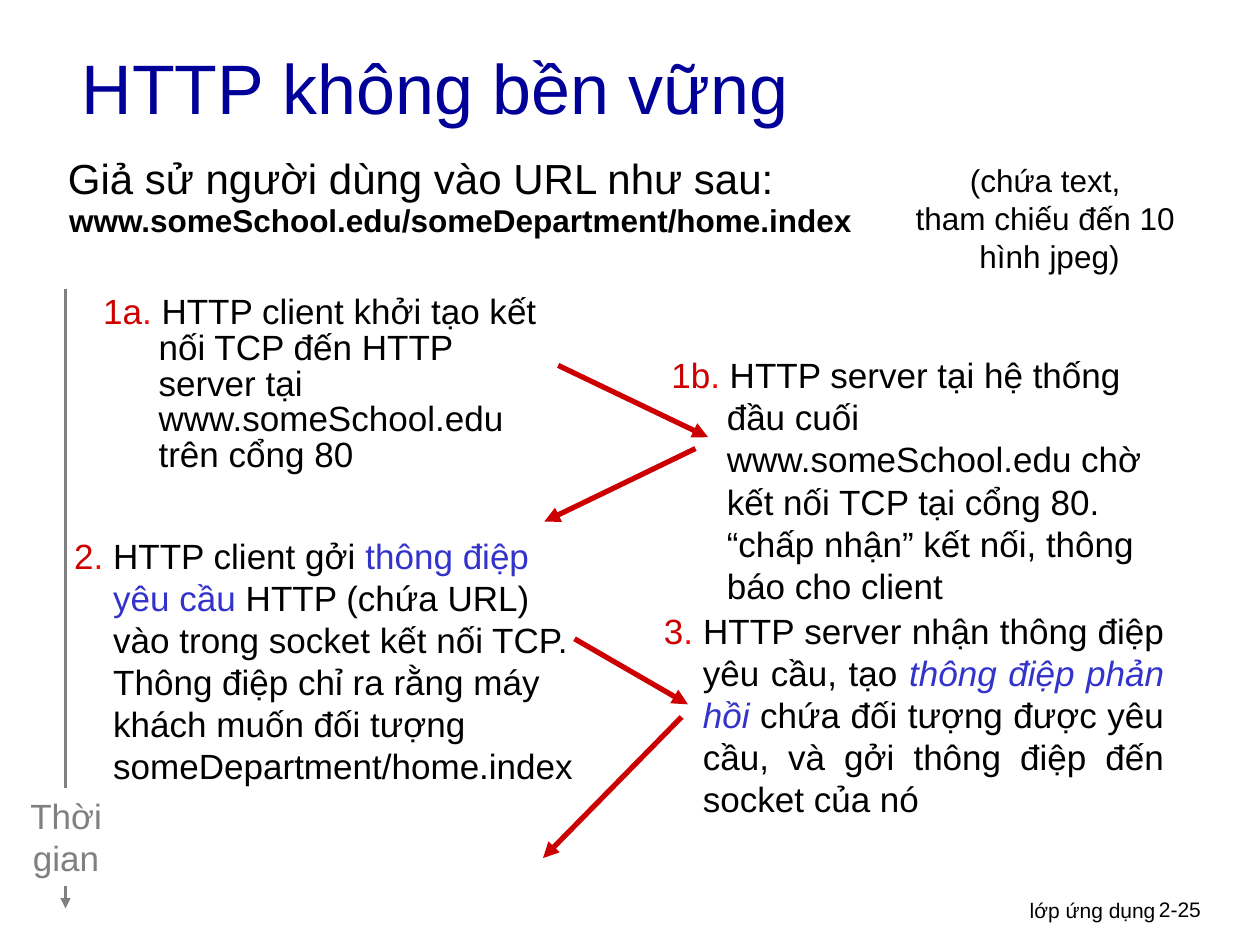
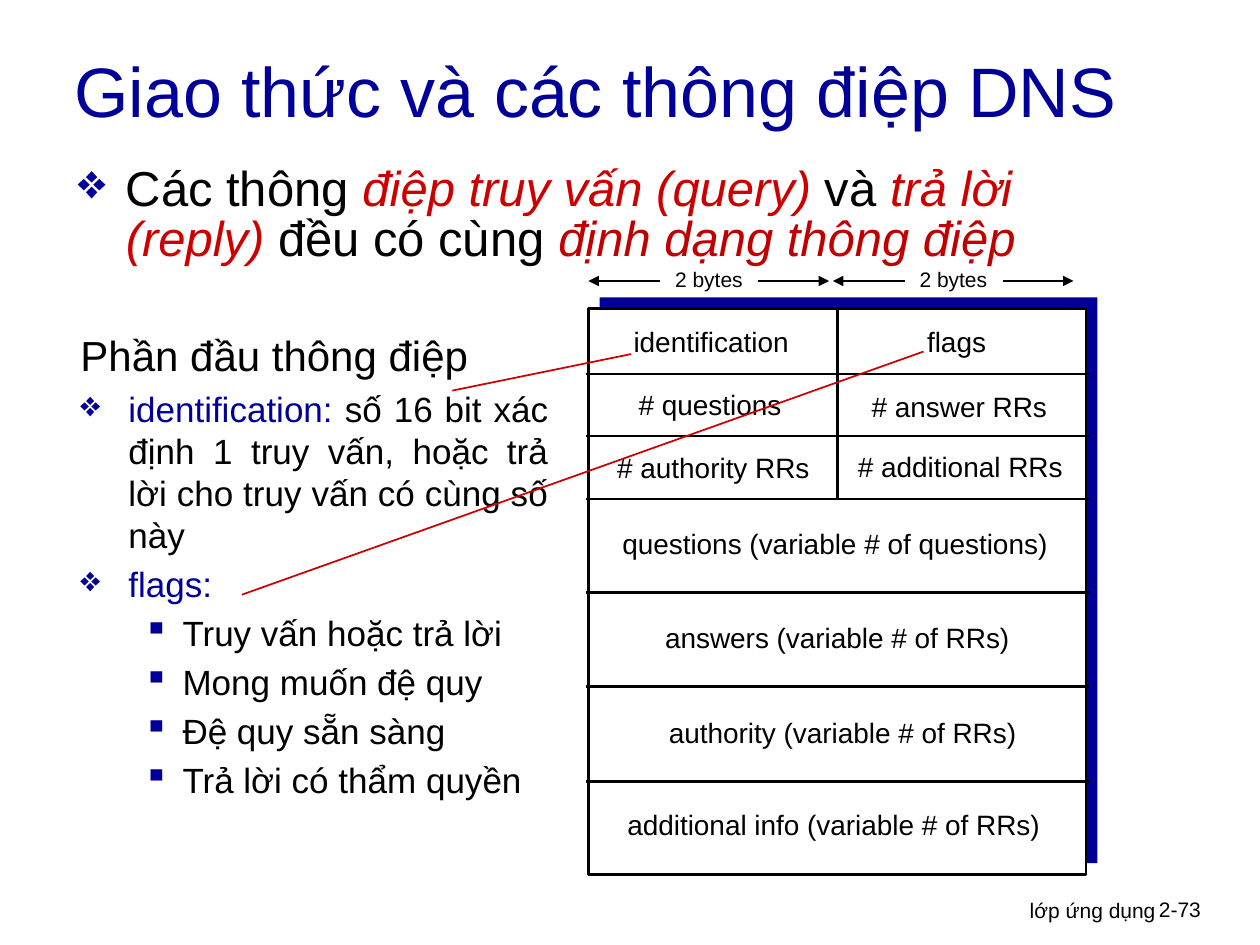
from dataclasses import dataclass
from itertools import accumulate
from typing import Any

from lxml import etree
from pptx import Presentation
from pptx import util as u
from pptx.dml.color import RGBColor
from pptx.enum import shapes, text
from pptx.oxml.ns import qn

# Grid: 100 columns by 75 rows on a 10 x 7.5 inch page
WIDTH, HEIGHT = u.Inches(10), u.Inches(7.5)
COLUMNS, ROWS = 100, 75
FONT = "Arial"
COLORS = {
    "white": "FFFFFF", "black": "000000", "grey": "808080", "navy": "000099",
    "blue": "3333CC", "red": "CC0000", "bright": "FF0000", "dark red": "C00000",
}
LEFT, CENTER = text.PP_ALIGN.LEFT, text.PP_ALIGN.CENTER
RIGHT, JUSTIFY = text.PP_ALIGN.RIGHT, text.PP_ALIGN.JUSTIFY


@dataclass(frozen=True)
class Box:
    left: float
    top: float
    width: float
    height: float


@dataclass(frozen=True)
class Line:
    x1: float
    y1: float
    x2: float
    y2: float


@dataclass(frozen=True)
class Span:
    text: str
    color: str = "black"
    italic: bool = False


@dataclass(frozen=True)
class Para:
    spans: tuple[Span, ...]
    size: float | None = None
    bullet: str = ""
    margin: float = 0
    hang: float = 0
    before: float = 0
    level: int = 0


@dataclass(frozen=True)
class Label:
    text: str
    left: float
    top: float
    width: float


# Shared drawing functions
def col(value: float) -> int:
    return round(WIDTH * value / COLUMNS)


def row(value: float) -> int:
    return round(HEIGHT * value / ROWS)


def rgb(name: str) -> RGBColor:
    return RGBColor.from_string(COLORS[name])


def place(box: Box) -> tuple[int, int, int, int]:
    return col(box.left), row(box.top), col(box.width), row(box.height)


def plain(content: str, **settings: Any) -> Para:
    return Para((Span(content),), **settings)


def step(mark: str, *spans: Span, hang: float) -> Para:
    """Numbered step with a red mark and a hanging indent."""
    lead = (Span(mark, "red"), Span(".", "bright"))
    return Para(lead + spans, margin=hang, hang=hang)


def add_bullet(para: Any, mark: str) -> None:
    props = para._p.get_or_add_pPr()
    color = etree.SubElement(props, qn("a:buClr"))
    etree.SubElement(color, qn("a:srgbClr"), val=COLORS["navy"])
    etree.SubElement(props, qn("a:buChar"), char=mark)


def write(shape: Any, content: str | list[Para], *, size: float = 20,
          color: str | None = None, bold: bool = False, align: Any = LEFT,
          anchor: Any = text.MSO_ANCHOR.TOP, spacing: float | None = None,
          wrap: bool = True) -> None:
    frame = shape.text_frame
    frame.word_wrap = wrap
    frame.vertical_anchor = anchor
    paras = [plain(content)] if isinstance(content, str) else content
    for index, item in enumerate(paras):
        para = frame.add_paragraph() if index else frame.paragraphs[0]
        para.alignment = align
        para.level = item.level
        props = para._p.get_or_add_pPr()
        props.set("marL", str(col(item.margin)))
        props.set("indent", str(-col(item.hang)))
        if item.bullet:
            add_bullet(para, item.bullet)
        if spacing:
            para.line_spacing = spacing
        if item.before:
            para.space_before = u.Pt(item.before)
        for span in item.spans:
            run = para.add_run()
            run.text = span.text
            run.font.name = FONT
            run.font.size = u.Pt(item.size or size)
            run.font.bold = bold
            run.font.italic = span.italic
            run.font.color.rgb = rgb(color or span.color)


def add_text(canvas: Any, box: Box, content: str | list[Para], **style: Any) -> None:
    write(canvas.shapes.add_textbox(*place(box)), content, **style)


def add_rect(canvas: Any, box: Box, fill: str, line: str | None = None,
             weight: float = 1.5) -> Any:
    rect = canvas.shapes.add_shape(shapes.MSO_SHAPE.RECTANGLE, *place(box))
    rect.shadow.inherit = False
    rect.fill.solid()
    rect.fill.fore_color.rgb = rgb(fill)
    if line:
        rect.line.color.rgb = rgb(line)
        rect.line.width = u.Pt(weight)
    else:
        rect.line.fill.background()
    return rect


def add_line(canvas: Any, line: Line, color: str, weight: float,
             arrow: bool = False) -> None:
    link = canvas.shapes.add_connector(
        shapes.MSO_CONNECTOR.STRAIGHT,
        col(line.x1), row(line.y1), col(line.x2), row(line.y2))
    link.line.color.rgb = rgb(color)
    link.line.width = u.Pt(weight)
    if arrow:
        etree.SubElement(link.line._get_or_add_ln(), qn("a:tailEnd"), type="triangle")
    etree.SubElement(link._element.spPr, qn("a:effectLst"))


def add_page(deck: Any, title: str, title_box: Box, number: str) -> Any:
    """Blank page with the common title and footer."""
    page = deck.slides.add_slide(deck.slide_layouts[6])
    add_text(page, Box(61, 70.7, 31.7, 3.1), "lớp ứng dụng", size=12, align=RIGHT)
    add_text(page, Box(91, 70.7, 7.4, 3), number, size=12)
    add_text(page, title_box, title, size=40, color="navy",
             anchor=text.MSO_ANCHOR.MIDDLE)
    return page


# Slide: non-persistent HTTP
CLIENT_CONNECTS = step("1a", Span(
    " HTTP client khởi tạo kết nối TCP đến HTTP server tại "
    "www.someSchool.edu trên cổng 80"), hang=4.4)
SERVER_ACCEPTS = step("1b", Span(
    " HTTP server tại hệ thống đầu cuối www.someSchool.edu chờ kết nối TCP "
    "tại cổng 80. “chấp nhận” kết nối, thông báo cho client"), hang=4.4)
CLIENT_REQUESTS = step(
    "2", Span(" HTTP client gởi "), Span("thông điệp yêu cầu", "blue"),
    Span(" HTTP (chứa URL) vào trong socket kết nối TCP. Thông điệp chỉ ra "
         "rằng máy khách muốn đối tượng someDepartment/home.index"), hang=3.1)
SERVER_RESPONDS = step(
    "3", Span(" HTTP server nhận thông điệp yêu cầu, tạo "),
    Span("thông điệp phản hồi ", "blue", True),
    Span("chứa đối tượng được yêu cầu, và gởi thông điệp đến socket của nó"),
    hang=3.1)
MESSAGES = (
    Line(44.3, 29, 56.2, 34.7), Line(55.2, 35.6, 43.2, 41.4),
    Line(45.6, 50.7, 54.6, 55.9), Line(54.1, 56.9, 43.1, 68.1),
)


def build_http(deck: Any) -> None:
    page = add_page(deck, "HTTP không bền vững", Box(5.5, 2.1, 85, 9.5), "2-25")

    # Time axis and its label
    add_line(page, Line(5.2, 22.9, 5.2, 72.1), "grey", 1.5, arrow=True)
    time_label = add_rect(page, Box(0.9, 62.6, 8.7, 7.7), "white", "white", 0.75)
    write(time_label, "Thời gian", color="grey", align=CENTER)

    # Address and its remark
    add_text(page, Box(4.4, 12.2, 86.9, 5.1),
             "Giả sử người dùng vào URL như sau:", size=24, spacing=0.85)
    add_text(page, Box(4.5, 15.9, 86.9, 5.1),
             "www.someSchool.edu/someDepartment/home.index",
             size=18, bold=True, spacing=0.85)
    remark = ("(chứa text, ", "tham chiếu đến 10 ", "hình jpeg)")
    add_text(page, Box(70.1, 12.3, 26.4, 10.1), [plain(part) for part in remark],
             size=18, align=CENTER)

    # Steps and the messages between them
    add_text(page, Box(7.2, 23, 37.1, 20.8), [CLIENT_CONNECTS], spacing=0.85)
    add_text(page, Box(4.9, 41.9, 43.1, 11.8), [CLIENT_REQUESTS])
    add_text(page, Box(52.3, 27.6, 41.7, 16.5), [SERVER_ACCEPTS])
    add_text(page, Box(51.7, 47.9, 41.7, 19.7), [SERVER_RESPONDS], align=JUSTIFY)
    for message in MESSAGES:
        add_line(page, message, "red", 3, arrow=True)


# Slide: DNS messages
TABLE = Box(46.7, 24.5, 39.5, 44.9)
FIELD_HEIGHTS = (5.2, 4.9, 5, 7.4, 7.5, 7.5)
FIELDS = (
    Label("identification", 49.3, 25.3, 14.3),
    Label("flags", 72.6, 25.3, 6.7),
    Label("# questions", 49.7, 30.3, 13.4),
    Label("# answer RRs", 68.2, 30.4, 16),
    Label("# authority RRs", 48, 35.3, 17.3),
    Label("# additional RRs", 67.1, 35.2, 18.3),
    Label("questions (variable # of questions)", 48.4, 41.3, 35.9),
    Label("answers (variable # of RRs)", 51.8, 48.8, 29.4),
    Label("authority (variable # of RRs)", 52.1, 56.3, 29.7),
    Label("additional info (variable # of RRs)", 48.8, 63.6, 34.8),
)
FLAG_USES = ("Truy vấn hoặc trả lời", "Mong muốn đệ quy",
             "Đệ quy sẵn sàng", "Trả lời có thẩm quyền")
DIAMOND = {"bullet": "❖", "margin": 3.8, "hang": 3.8}
SQUARE = {"bullet": "▪", "margin": 8.1, "hang": 3.1, "level": 1}


def add_byte_ruler(page: Any, left: float) -> None:
    group = page.shapes.add_group_shape()
    add_text(group, Box(left + 5.9, 20.7, 7.4, 3), "2 bytes", size=12, wrap=False)
    for start, end in ((13.5, 19.1), (5.7, 0)):
        add_line(group, Line(left + start, 22.3, left + end, 22.3),
                 "black", 0.75, arrow=True)


def add_message_format(page: Any) -> None:
    group = page.shapes.add_group_shape()
    add_rect(group, Box(TABLE.left + 0.9, TABLE.top - 0.9, TABLE.width, TABLE.height),
             "navy")
    add_rect(group, TABLE, "white", "black")
    edges = list(accumulate(FIELD_HEIGHTS, initial=TABLE.top))[1:]
    for edge in edges:
        add_line(group, Line(46.5, edge, 86.4, edge), "black", 1.5)
    middle = TABLE.left + TABLE.width / 2
    add_line(group, Line(middle, TABLE.top, middle, edges[2]), "black", 1.5)
    for field in FIELDS:
        add_text(group, Box(field.left, field.top, field.width, 3.7), field.text,
                 size=16, wrap=False)


def build_dns(deck: Any) -> None:
    page = add_page(deck, "Giao thức và các thông điệp DNS",
                    Box(4.9, 2.4, 90.2, 9.4), "2-73")

    # Opening statement
    statement = Para((
        Span("Các thông "), Span("điệp truy vấn (query) ", "red", True),
        Span("và "), Span("trả lời (reply)", "red", True),
        Span(" đều có cùng "), Span("định dạng thông điệp", "dark red", True),
    ), **DIAMOND)
    add_text(page, Box(5.2, 12.7, 85.5, 5.6), [statement], size=28, spacing=0.85)

    # Header fields explained
    header = [
        plain("Phần đầu thông điệp", size=24, margin=3.8, hang=3.8),
        Para((Span("identification:", "navy"),
              Span(" số 16 bit xác định 1 truy vấn, hoặc trả lời cho truy vấn "
                   "có cùng số này")), before=4, **DIAMOND),
        Para((Span("flags:", "navy"),), before=4, **DIAMOND),
        *(plain(use, before=4, **SQUARE) for use in FLAG_USES),
    ]
    add_text(page, Box(5.4, 25.7, 39.1, 42), header, align=JUSTIFY)

    # Message format, pointers and byte rulers
    add_message_format(page)
    for pointer in (Line(35.9, 31, 50.1, 28.1), Line(19.2, 47.2, 73.3, 27.9)):
        add_line(page, pointer, "red", 1)
    for left in (46.7, 66.1):
        add_byte_ruler(page, left)


def main() -> None:
    deck = Presentation()
    deck.slide_width, deck.slide_height = WIDTH, HEIGHT
    build_http(deck)
    build_dns(deck)
    deck.save("out.pptx")


if __name__ == "__main__":
    main()
